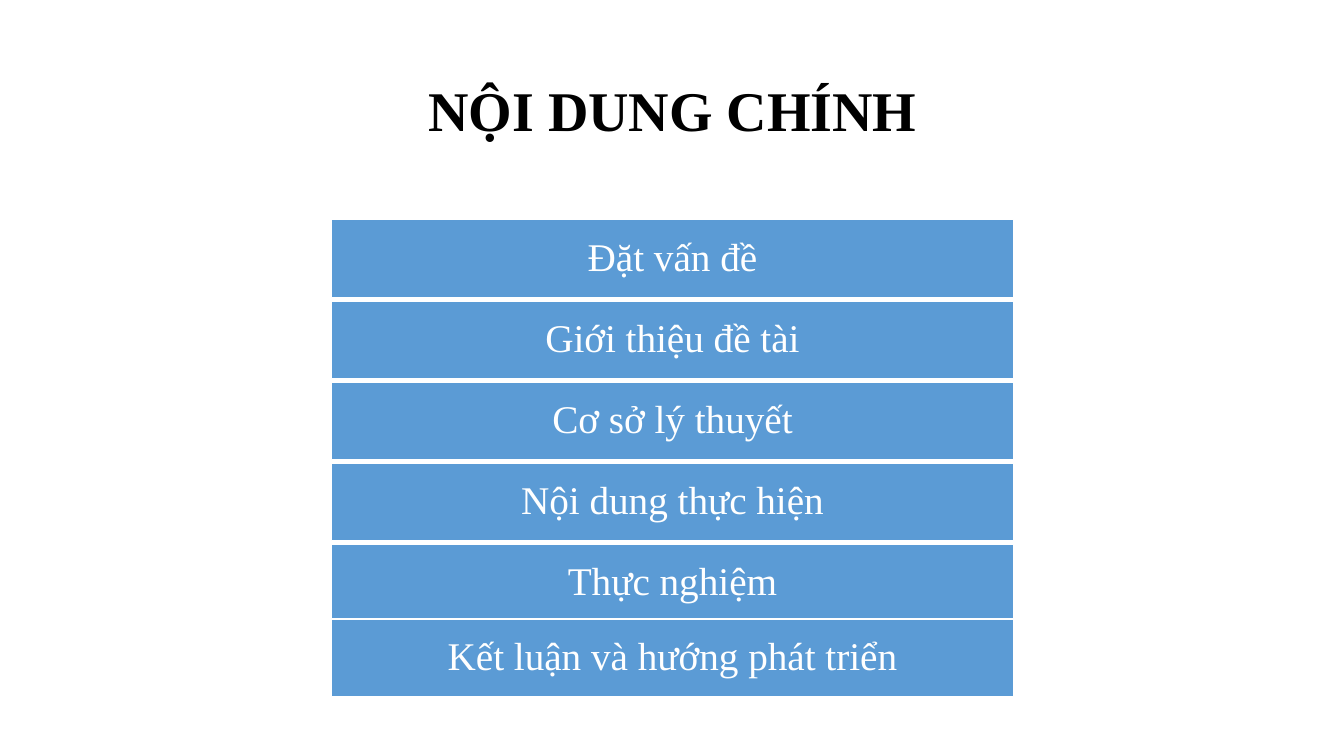
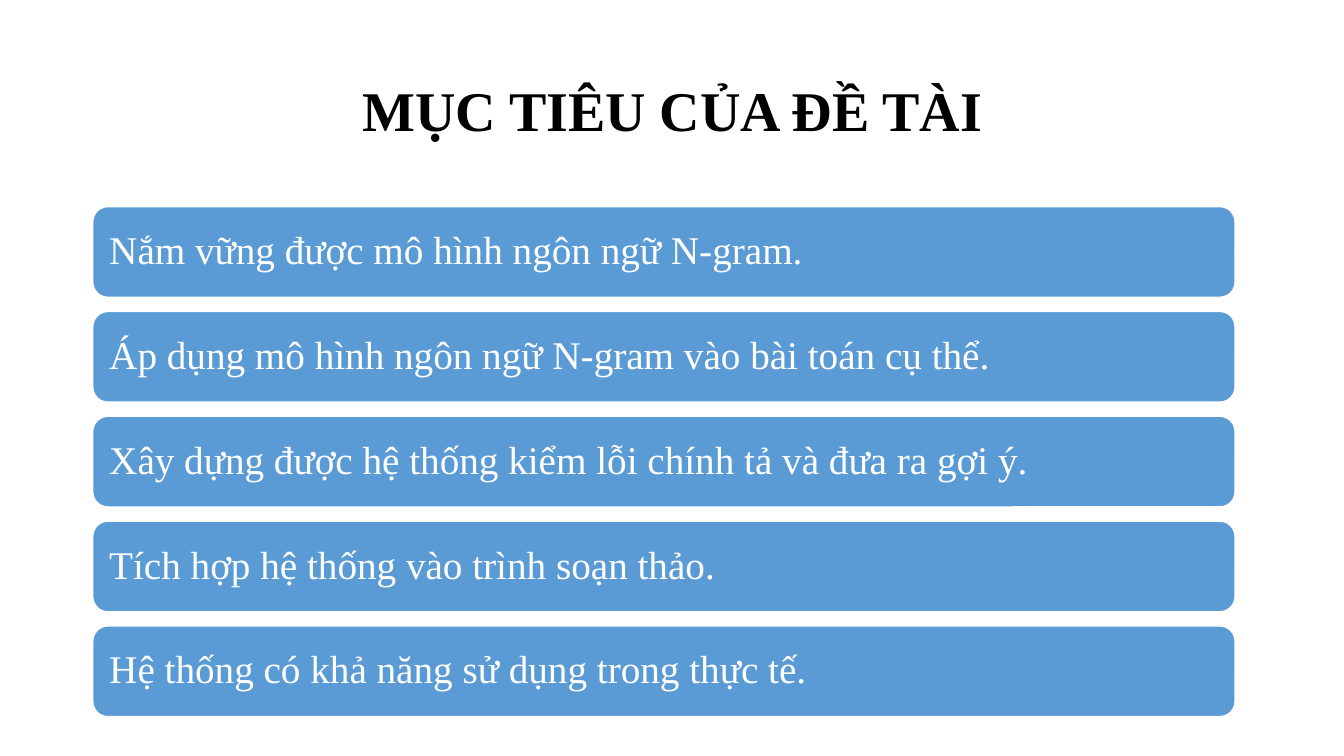
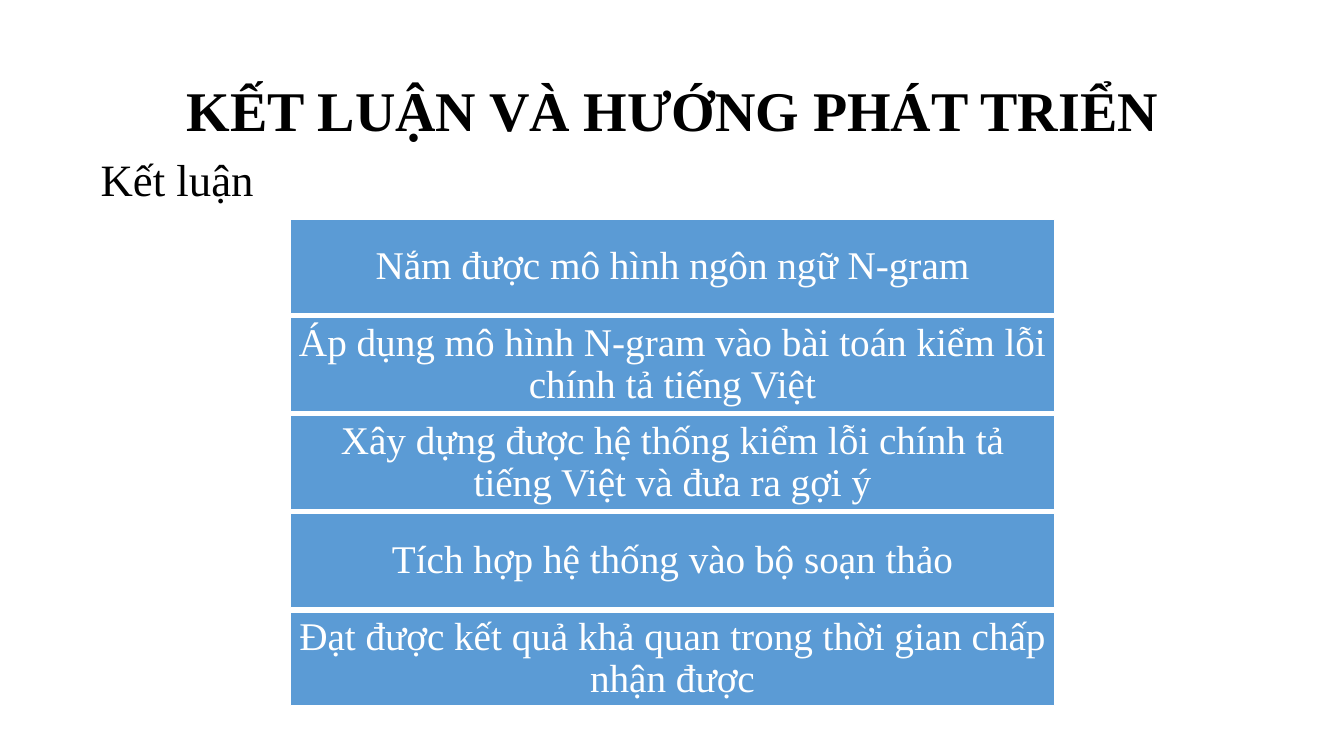
"""Build three slides: agenda, project goals and conclusions."""
from pptx import Presentation
from pptx.dml.color import RGBColor
from pptx.enum import shapes, text
from pptx.util import Inches, Pt

BLUE = RGBColor(0x5B, 0x9B, 0xD5)
WHITE = RGBColor(0xFF, 0xFF, 0xFF)
BLACK = RGBColor(0x00, 0x00, 0x00)
FONT = "Times New Roman"
RECT = shapes.MSO_SHAPE.RECTANGLE
ROUNDED = shapes.MSO_SHAPE.ROUNDED_RECTANGLE
LEFT = text.PP_ALIGN.LEFT
CENTER = text.PP_ALIGN.CENTER
MIDDLE = text.MSO_ANCHOR.MIDDLE
TOP = text.MSO_ANCHOR.TOP


def write(holder, wording, size, color, align, anchor=MIDDLE, bold=False):
    frame = holder.text_frame
    frame.word_wrap = True
    frame.vertical_anchor = anchor
    paragraph = frame.paragraphs[0]
    paragraph.text = wording
    paragraph.alignment = align
    paragraph.line_spacing = 0.9
    paragraph.font.name = FONT
    paragraph.font.size = Pt(size)
    paragraph.font.bold = bold
    paragraph.font.color.rgb = color
    return paragraph


def add_bar(slide, outline, left, top, width, height, inset, align, wording):
    bar = slide.shapes.add_shape(
        outline, Inches(left), Inches(top), Inches(width), Inches(height))
    bar.shadow.inherit = False
    bar.fill.solid()
    bar.fill.fore_color.rgb = BLUE
    bar.line.color.rgb = WHITE
    bar.line.width = Pt(1)
    frame = bar.text_frame
    frame.margin_left = frame.margin_right = Inches(inset)
    frame.margin_top = frame.margin_bottom = Inches(0.07)
    write(bar, wording, 28, WHITE, align)


agenda_tops = [2.18 + (5.4 - 2.18) / 4 * row for row in range(5)] + [6.14]
goal_tops = [2.05 + 1.04 * row for row in range(5)]
conclusion_tops = [2.18 + (6.07 - 2.18) / 4 * row for row in range(5)]

sections = [
    ("NỘI DUNG CHÍNH", None, RECT, 3.29, 6.76, 0.77, 0.07, CENTER, agenda_tops, [
        "Đặt vấn đề",
        "Giới thiệu đề tài",
        "Cơ sở lý thuyết",
        "Nội dung thực hiện",
        "Thực nghiệm",
        "Kết luận và hướng phát triển",
    ]),
    ("MỤC TIÊU CỦA ĐỀ TÀI", None, ROUNDED, 0.92, 11.33, 0.9, 0.12, LEFT, goal_tops, [
        "Nắm vững được mô hình ngôn ngữ N-gram.",
        "Áp dụng mô hình ngôn ngữ N-gram vào bài toán cụ thể.",
        "Xây dựng được hệ thống kiểm lỗi chính tả và đưa ra gợi ý.",
        "Tích hợp hệ thống vào trình soạn thảo.",
        "Hệ thống có khả năng sử dụng trong thực tế.",
    ]),
    ("KẾT LUẬN VÀ HƯỚNG PHÁT TRIỂN", "Kết luận", RECT, 2.88, 7.58, 0.93, 0.07, CENTER,
     conclusion_tops, [
         "Nắm được mô hình ngôn ngữ N-gram",
         "Áp dụng mô hình N-gram vào bài toán kiểm lỗi chính tả tiếng Việt",
         "Xây dựng được hệ thống kiểm lỗi chính tả tiếng Việt và đưa ra gợi ý",
         "Tích hợp hệ thống vào bộ soạn thảo",
         "Đạt được kết quả khả quan trong thời gian chấp nhận được",
     ]),
]

deck = Presentation()
deck.slide_width = Inches(13.33)
deck.slide_height = Inches(7.5)

for title, subtitle, outline, left, width, height, inset, align, tops, points in sections:
    slide = deck.slides.add_slide(deck.slide_layouts[6])
    heading = slide.shapes.add_textbox(
        Inches(0.92), Inches(0.4), Inches(11.5), Inches(1.45))
    write(heading, title, 40, BLACK, CENTER, bold=True)
    if subtitle:
        subheading = slide.shapes.add_textbox(
            Inches(0.9), Inches(1.52), Inches(10.83), Inches(0.66))
        write(subheading, subtitle, 32, BLACK, LEFT, TOP).space_before = Pt(5)
    for top, point in zip(tops, points):
        add_bar(slide, outline, left, top, width, height, inset, align, point)

deck.save("out.pptx")
